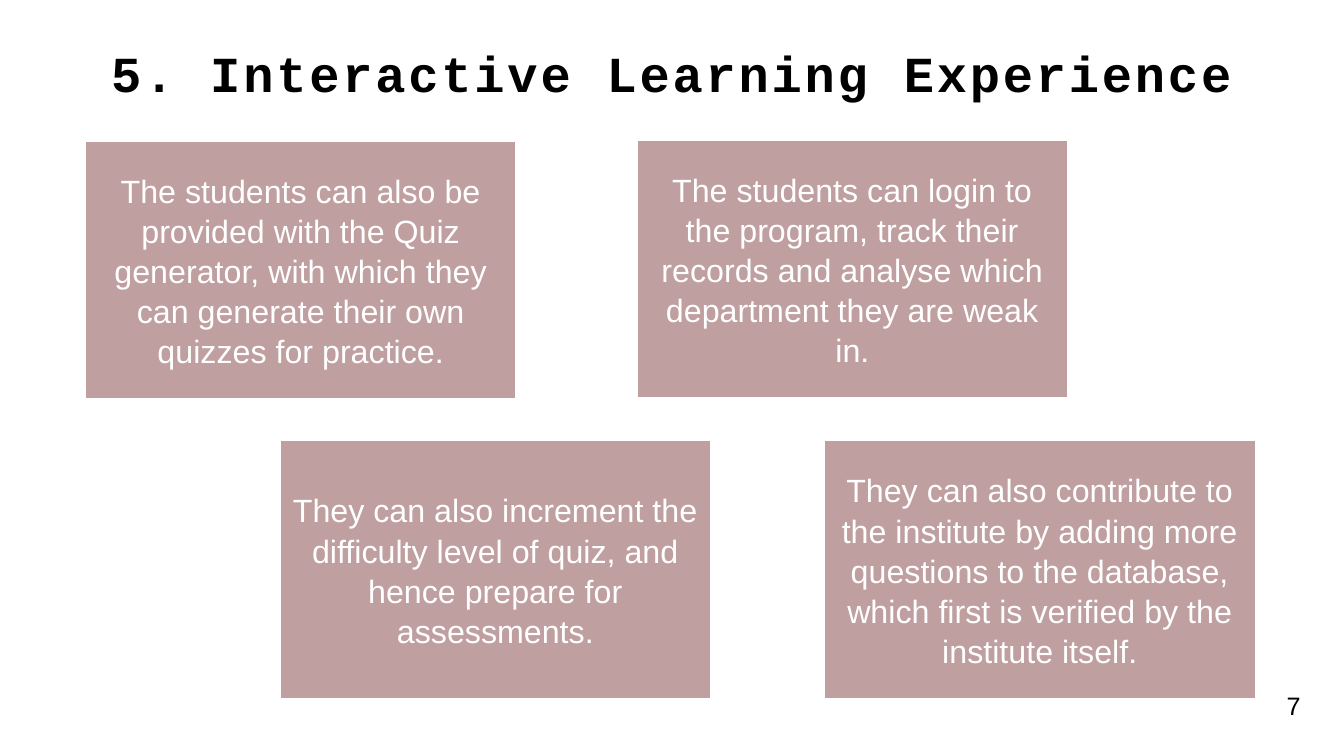
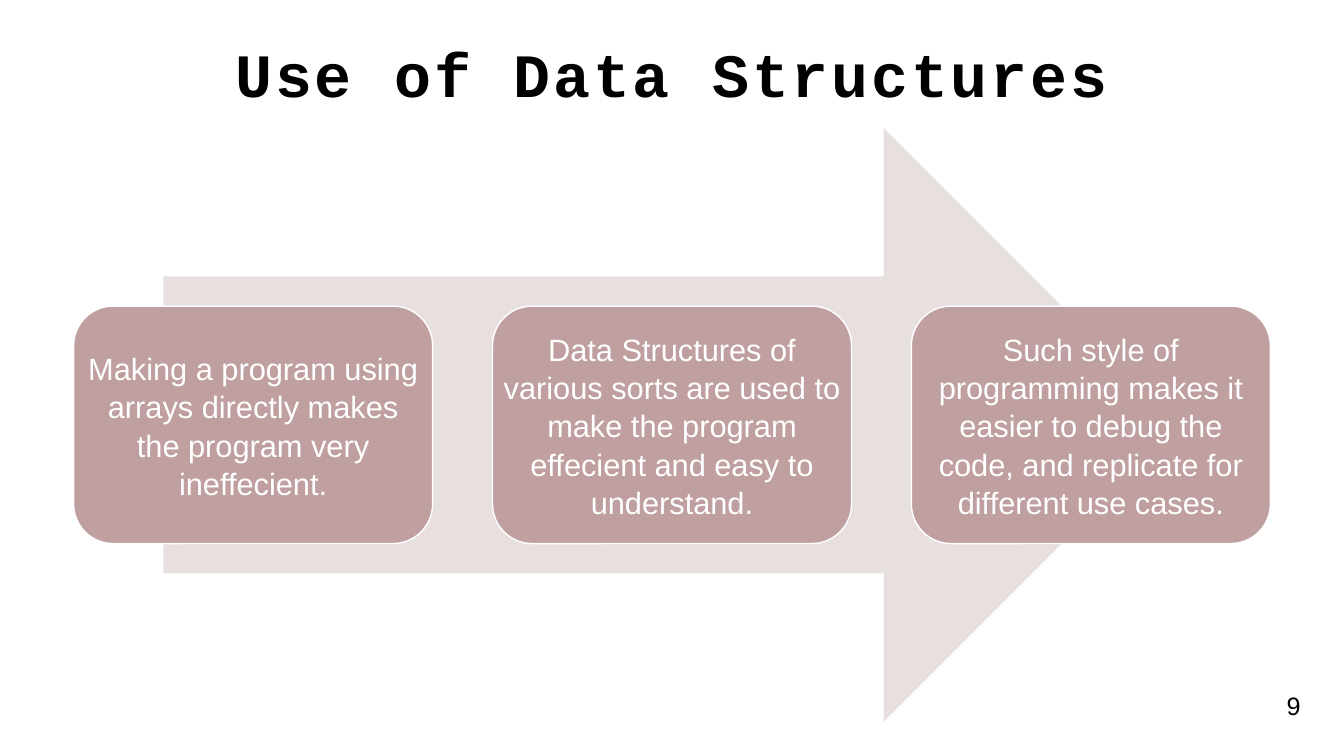
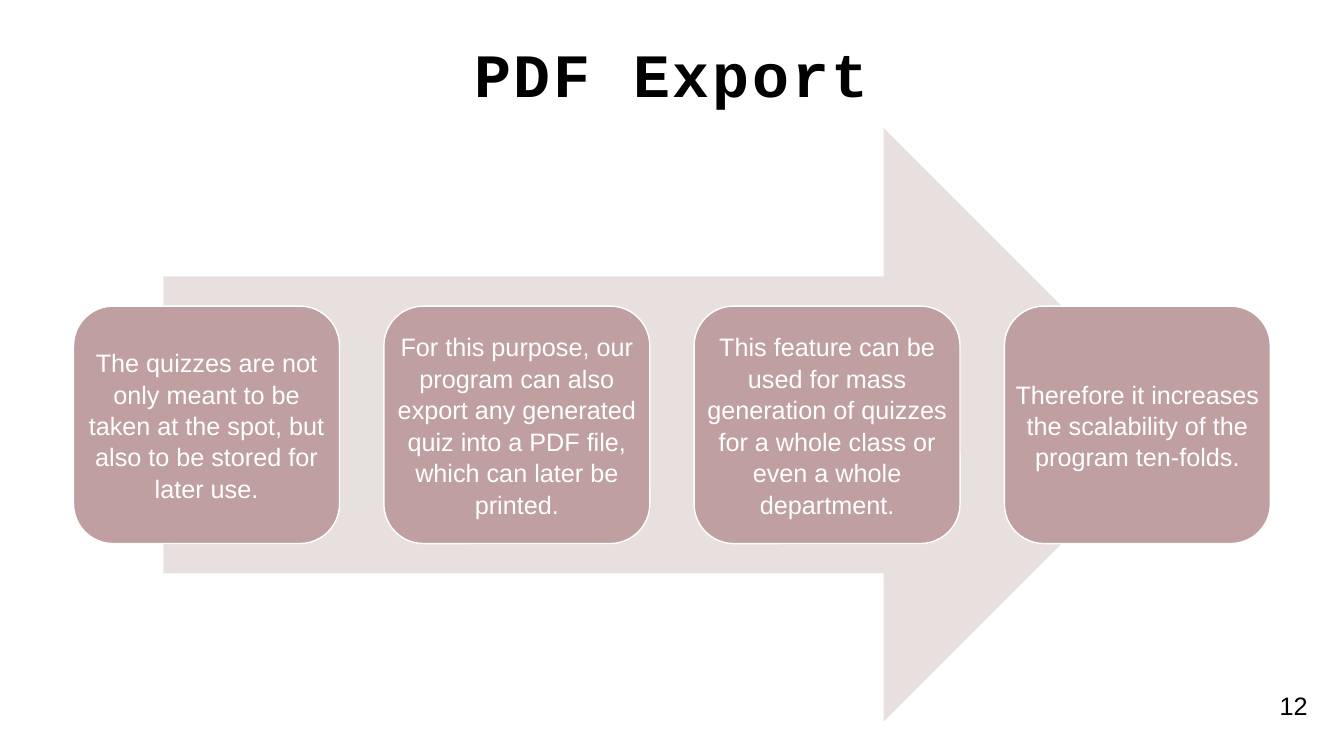
"""Build three quiz-program slides: one with scattered cards, two with arrow flows."""
from dataclasses import dataclass
from typing import Any

import pptx
import pptx.dml.color
import pptx.enum.shapes
import pptx.enum.text
import pptx.util

Inches = pptx.util.Inches
Pt = pptx.util.Pt
Preset = pptx.enum.shapes.MSO_SHAPE

SLIDE_W, SLIDE_H = 13.33, 7.5
MARGIN, CONTENT_W = 0.73, 11.87
ROSE, PALE_ROSE, WHITE, BLACK = "BF9F9F", "E8DFDF", "FFFFFF", "000000"
BODY_FONT, TITLE_FONT = "Arial", "Courier New"
CARD_W, CARD_H = 4.27, 2.56
CARD_GAP = 1 / 6


@dataclass(frozen=True)
class Box:
    left: float
    top: float
    width: float
    height: float

    def lengths(self) -> list[int]:
        return [Inches(side) for side in (self.left, self.top, self.width, self.height)]


@dataclass(frozen=True)
class Style:
    size: float
    color: str
    font: str = BODY_FONT
    bold: bool = False
    tracking: float = 0
    spacing: float = 1.0
    inset: tuple[float, float] = (0.1, 0.05)


@dataclass(frozen=True)
class Card:
    text: str
    left: float
    top: float


@dataclass(frozen=True)
class Flow:
    title: str
    number: int
    size: float
    inset: float
    steps: tuple[str, ...]


TITLE_BOX = Box(MARGIN, 0.48, CONTENT_W, 0.48)
NUMBER_BOX = Box(12.59, 6.8, 0.48, 0.4)
ARROW_BOX = Box(MARGIN + 0.075 * CONTENT_W, 1.27, 0.85 * CONTENT_W, 5.89)

LEARNING_CARDS = (
    Card("The students can also be provided with the Quiz generator, with which they can "
         "generate their own quizzes for practice.", 0.85, 1.4),
    Card("The students can login to the program, track their records and analyse which "
         "department they are weak in.", 6.32, 1.39),
    Card("They can also increment the difficulty level of quiz, and hence prepare for "
         "assessments.", 2.78, 4.37),
    Card("They can also contribute to the institute by adding more questions to the "
         "database, which first is verified by the institute itself.", 8.18, 4.37),
)

FLOWS = (
    Flow("Use of Data Structures", 9, 22, 0.09, (
        "Making a program using arrays directly makes the program very ineffecient.",
        "Data Structures of various sorts are used to make the program effecient and easy "
        "to understand.",
        "Such style of programming makes it easier to debug the code, and replicate for "
        "different use cases.",
    )),
    Flow("PDF Export", 12, 18, 0.07, (
        "The quizzes are not only meant to be taken at the spot, but also to be stored for "
        "later use.",
        "For this purpose, our program can also export any generated quiz into a PDF file, "
        "which can later be printed.",
        "This feature can be used for mass generation of quizzes for a whole class or even "
        "a whole department.",
        "Therefore it increases the scalability of the program ten-folds.",
    )),
)


def rgb(color: str) -> pptx.dml.color.RGBColor:
    return pptx.dml.color.RGBColor.from_string(color)


def assign(target: Any, values: dict[str, Any]) -> None:
    for attribute, value in values.items():
        setattr(target, attribute, value)


def write(host: Any, text: str, style: Style) -> None:
    side, end = (Inches(inset) for inset in style.inset)
    frame = host.text_frame
    assign(frame, {
        "word_wrap": True, "vertical_anchor": pptx.enum.text.MSO_ANCHOR.MIDDLE,
        "margin_left": side, "margin_right": side, "margin_top": end, "margin_bottom": end,
    })
    paragraph = frame.paragraphs[0]
    assign(paragraph, {
        "alignment": pptx.enum.text.PP_ALIGN.CENTER, "line_spacing": style.spacing,
    })
    run = paragraph.add_run()
    run.text = text
    assign(run.font, {"name": style.font, "size": Pt(style.size), "bold": style.bold})
    run.font.color.rgb = rgb(style.color)
    if style.tracking:
        run.font._element.set("spc", str(round(style.tracking * 100)))


def add_label(slide: Any, box: Box, text: str, style: Style) -> None:
    write(slide.shapes.add_textbox(*box.lengths()), text, style)


def add_panel(slide: Any, preset: Any, box: Box, fill: str, outline: str = "") -> Any:
    panel = slide.shapes.add_shape(preset, *box.lengths())
    panel.shadow.inherit = False
    panel.fill.solid()
    panel.fill.fore_color.rgb = rgb(fill)
    if outline:
        panel.line.color.rgb = rgb(outline)
        panel.line.width = Pt(1)
    else:
        panel.line.fill.background()
    return panel


def card_style(size: float, inset: float) -> Style:
    return Style(size, WHITE, spacing=1.04, inset=(inset, inset))


def start_slide(deck: Any, title: str, number: int, title_size: float = 44) -> Any:
    slide = deck.slides.add_slide(deck.slide_layouts[6])
    add_label(slide, TITLE_BOX, title, Style(title_size, BLACK, TITLE_FONT, True, 2))
    add_label(slide, NUMBER_BOX, str(number), Style(18, BLACK))
    return slide


def build_learning(deck: Any) -> None:
    slide = start_slide(deck, "5. Interactive Learning Experience", 7, 36)
    for card in LEARNING_CARDS:
        box = Box(card.left, card.top, CARD_W, CARD_H)
        panel = add_panel(slide, Preset.RECTANGLE, box, ROSE, WHITE)
        write(panel, card.text, card_style(23, 0.1))


def build_flow(deck: Any, flow: Flow) -> None:
    slide = start_slide(deck, flow.title, flow.number)
    add_panel(slide, Preset.RIGHT_ARROW, ARROW_BOX, PALE_ROSE)
    count = len(flow.steps)
    width = CONTENT_W / (count + (count - 1) * CARD_GAP)
    top = ARROW_BOX.top + 0.3 * ARROW_BOX.height
    for column, step in enumerate(flow.steps):
        left = MARGIN + column * width * (1 + CARD_GAP)
        box = Box(left, top, width, 0.4 * ARROW_BOX.height)
        add_panel(slide, Preset.ROUNDED_RECTANGLE, box, ROSE, WHITE)
        add_label(slide, box, step, card_style(flow.size, flow.inset))


def main() -> None:
    deck = pptx.Presentation()
    assign(deck, {"slide_width": Inches(SLIDE_W), "slide_height": Inches(SLIDE_H)})
    build_learning(deck)
    for flow in FLOWS:
        build_flow(deck, flow)
    deck.save("out.pptx")


if __name__ == "__main__":
    main()
